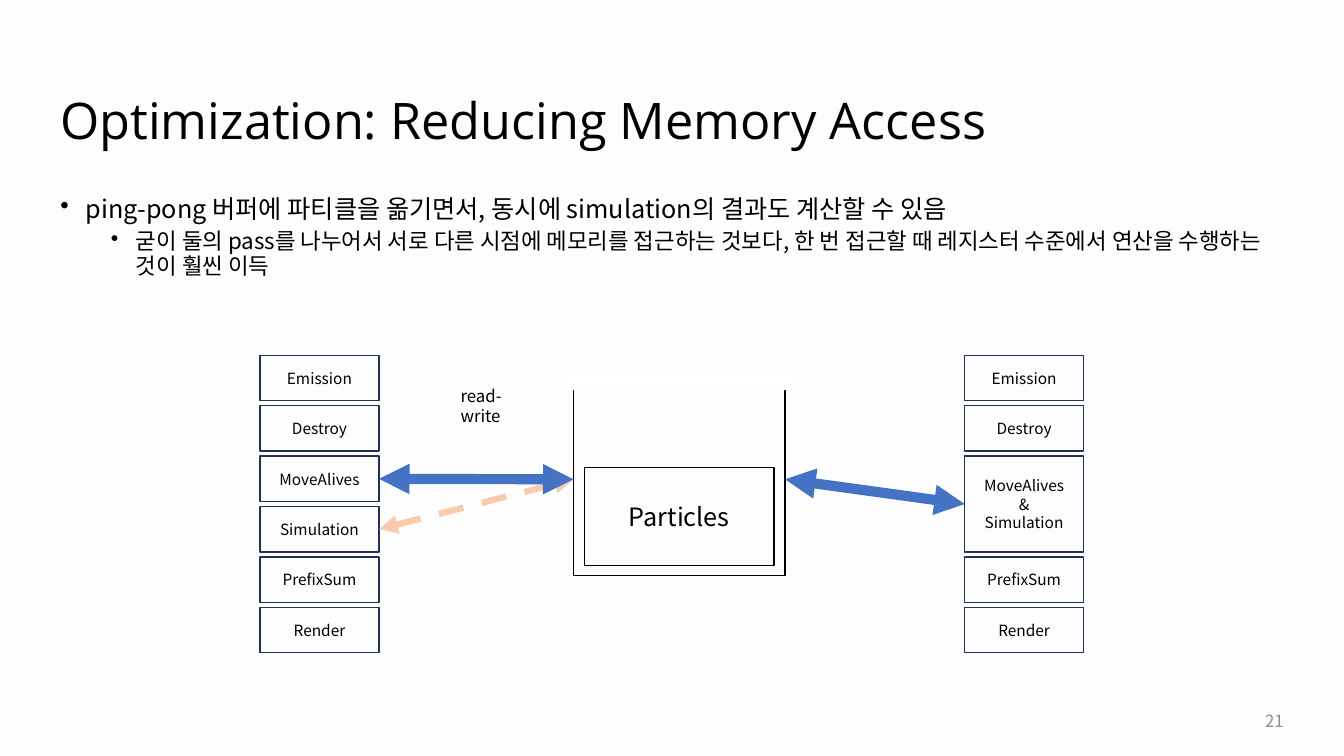
"""Build the slide comparing separate and merged particle passes."""
from dataclasses import dataclass
from typing import Optional

from lxml.etree import SubElement
from pptx import Presentation
from pptx.dml.color import RGBColor
from pptx.enum.dml import MSO_LINE
from pptx.enum.shapes import MSO_CONNECTOR, MSO_SHAPE
from pptx.enum.text import MSO_ANCHOR, PP_ALIGN
from pptx.oxml.ns import qn
from pptx.util import Inches, Pt

BLACK = RGBColor(0x00, 0x00, 0x00)
WHITE = RGBColor(0xFF, 0xFF, 0xFF)
PAPER = RGBColor(0xFD, 0xFD, 0xFD)
GRAY = RGBColor(0x8C, 0x8C, 0x8C)
NAVY = RGBColor(0x1E, 0x32, 0x56)
BLUE = RGBColor(0x44, 0x72, 0xC4)
PEACH = RGBColor(0xF8, 0xCB, 0xAD)
SANS = "Noto Sans CJK KR"
TITLE_FONT = "Open Sans"

SLIDE_W, SLIDE_H = Inches(13.33), Inches(7.5)
STAGE_W, STAGE_H = 8.85, 6
STAGE_TOP, STAGE_PITCH = 47, 6.67
TOP, LEFT, BOTTOM, RIGHT = range(4)


@dataclass
class Area:
    """A rectangle in percent of the slide's width and height."""
    x: float
    y: float
    w: float
    h: float

    def emu(self) -> tuple:
        """Return left, top, width and height in EMU."""
        return (int(SLIDE_W * self.x / 100), int(SLIDE_H * self.y / 100),
                int(SLIDE_W * self.w / 100), int(SLIDE_H * self.h / 100))


@dataclass
class Label:
    """A text box and its formatting."""
    area: Area
    text: str
    size: float
    font: str = SANS
    color: RGBColor = BLACK
    align: PP_ALIGN = PP_ALIGN.LEFT
    anchor: MSO_ANCHOR = MSO_ANCHOR.TOP
    spacing: Optional[float] = None


@dataclass
class Box:
    """A rectangle with an optional outline, fill and centred text."""
    area: Area
    line: Optional[RGBColor] = None
    fill: Optional[RGBColor] = None
    text: str = ""
    size: float = 11


@dataclass
class Stage:
    """A pipeline pass placed on the stage rows."""
    text: str
    row: int
    span: int = 1


@dataclass
class Bullet:
    """A body line with its level, size and space before."""
    text: str
    level: int
    size: float
    before: float


LABELS = [
    Label(Area(3.75, 7.33, 92.5, 18), "Optimization: Reducing Memory Access", 36,
          font=TITLE_FONT, anchor=MSO_ANCHOR.MIDDLE, spacing=0.9),
    Label(Area(73.75, 92.67, 22.5, 5.33), "21", 12, color=GRAY,
          align=PP_ALIGN.RIGHT, anchor=MSO_ANCHOR.MIDDLE),
    Label(Area(33.53, 50.4, 7.35, 6.4), "read-write", 12),
]
BODY = Area(3.75, 25.33, 92.5, 61.33)
BULLETS = [
    Bullet("ping-pong 버퍼에 파티클을 옮기면서, 동시에 simulation의 결과도 계산할 수 있음", 0, 18, 0),
    Bullet("굳이 둘의 pass를 나누어서 서로 다른 시점에 메모리를 접근하는 것보다, "
           "한 번 접근할 때 레지스터 수준에서 연산을 수행하는 것이 훨씬 이득", 1, 16, 5),
]
PARTICLES = Box(Area(43.5, 61.87, 14.1, 12.93), BLACK, text="Particles", size=18)
BUFFER = Box(Area(42.67, 50.67, 15.75, 25.47), BLACK)
BUFFER_OPENING = Box(Area(42.15, 49.6, 16.88, 2), fill=WHITE)
FIRST = [Stage("Emission", 0), Stage("Destroy", 1)]
LAST = [Stage("PrefixSum", 4), Stage("Render", 5)]
SEPARATE = FIRST + [Stage("MoveAlives", 2), Stage("Simulation", 3)] + LAST
MERGED = FIRST + [Stage("MoveAlives\n&\nSimulation", 2, 2)] + LAST


def format_text(p, size: float, font: str = SANS, color: RGBColor = BLACK) -> None:
    """Format every run of a paragraph."""
    for r in p.runs:
        r.font.size = Pt(size)
        r.font.color.rgb = color
        r.font.name = font
        SubElement(r.font._element, qn("a:ea"), typeface=font)


def add_label(s, label: Label) -> None:
    """Draw a text box."""
    tf = s.shapes.add_textbox(*label.area.emu()).text_frame
    tf.word_wrap = True
    tf.vertical_anchor = label.anchor
    tf.text = label.text
    p = tf.paragraphs[0]
    p.alignment = label.align
    if label.spacing:
        p.line_spacing = label.spacing
    format_text(p, label.size, label.font, label.color)


def add_bullets(s, area: Area, bullets: list) -> None:
    """Draw the bulleted body text."""
    tf = s.shapes.add_textbox(*area.emu()).text_frame
    tf.word_wrap = True
    tf.text = "\n".join(b.text for b in bullets)
    for p, b in zip(tf.paragraphs, bullets):
        p.level = b.level
        p.line_spacing = 0.9
        p.space_before = Pt(b.before)
        pPr = p._p.get_or_add_pPr()
        pPr.set("marL", str(Inches(0.25 + 0.5 * b.level)))
        pPr.set("indent", str(Inches(-0.25)))
        SubElement(pPr, qn("a:buChar"), char="•")
        format_text(p, b.size)


def add_box(s, box: Box):
    """Draw a rectangle and return it."""
    sp = s.shapes.add_shape(MSO_SHAPE.RECTANGLE, *box.area.emu())
    sp.shadow.inherit = False
    for part, color in ((sp.fill, box.fill), (sp.line.fill, box.line)):
        if color is None:
            part.background()
        else:
            part.solid()
            part.fore_color.rgb = color
    if box.line is not None:
        sp.line.width = Pt(1)
    if box.text:
        tf = sp.text_frame
        tf.word_wrap = True
        tf.vertical_anchor = MSO_ANCHOR.MIDDLE
        tf.text = box.text
        for p in tf.paragraphs:
            p.alignment = PP_ALIGN.CENTER
            format_text(p, box.size)
    return sp


def add_stages(s, x: float, stages: list) -> dict:
    """Draw a column of stages and return its shapes by row."""
    return {st.row: add_box(s, Box(
        Area(x, STAGE_TOP + st.row * STAGE_PITCH, STAGE_W,
             STAGE_H + (st.span - 1) * STAGE_PITCH), NAVY, text=st.text))
        for st in stages}


def add_arrow(s, start, end, color: RGBColor, width: float, dashed: bool = False) -> None:
    """Join the right side of one shape to the left side of another."""
    c = s.shapes.add_connector(MSO_CONNECTOR.STRAIGHT, 0, 0, 0, 0)
    c.begin_connect(start, RIGHT)
    c.end_connect(end, LEFT)
    c.line.color.rgb = color
    c.line.width = Pt(width)
    if dashed:
        c.line.dash_style = MSO_LINE.DASH
    spPr = c._element.spPr
    for tag in ("a:headEnd", "a:tailEnd"):
        SubElement(spPr.find(qn("a:ln")), qn(tag), type="triangle")
    SubElement(spPr, qn("a:effectLst"))


def main() -> None:
    """Build and save the slide."""
    prs = Presentation()
    prs.slide_width, prs.slide_height = SLIDE_W, SLIDE_H
    s = prs.slides.add_slide(prs.slide_layouts[6])
    s.background.fill.solid()
    s.background.fill.fore_color.rgb = PAPER
    for label in LABELS:
        add_label(s, label)
    add_bullets(s, BODY, BULLETS)
    _, buffer, _ = [add_box(s, b) for b in (PARTICLES, BUFFER, BUFFER_OPENING)]
    separate = add_stages(s, 19.35, SEPARATE)
    merged = add_stages(s, 71.78, MERGED)
    add_arrow(s, separate[3], buffer, PEACH, 4.5, dashed=True)
    add_arrow(s, separate[2], buffer, BLUE, 7.25)
    add_arrow(s, buffer, merged[2], BLUE, 7.25)
    prs.save("out.pptx")


if __name__ == "__main__":
    main()
